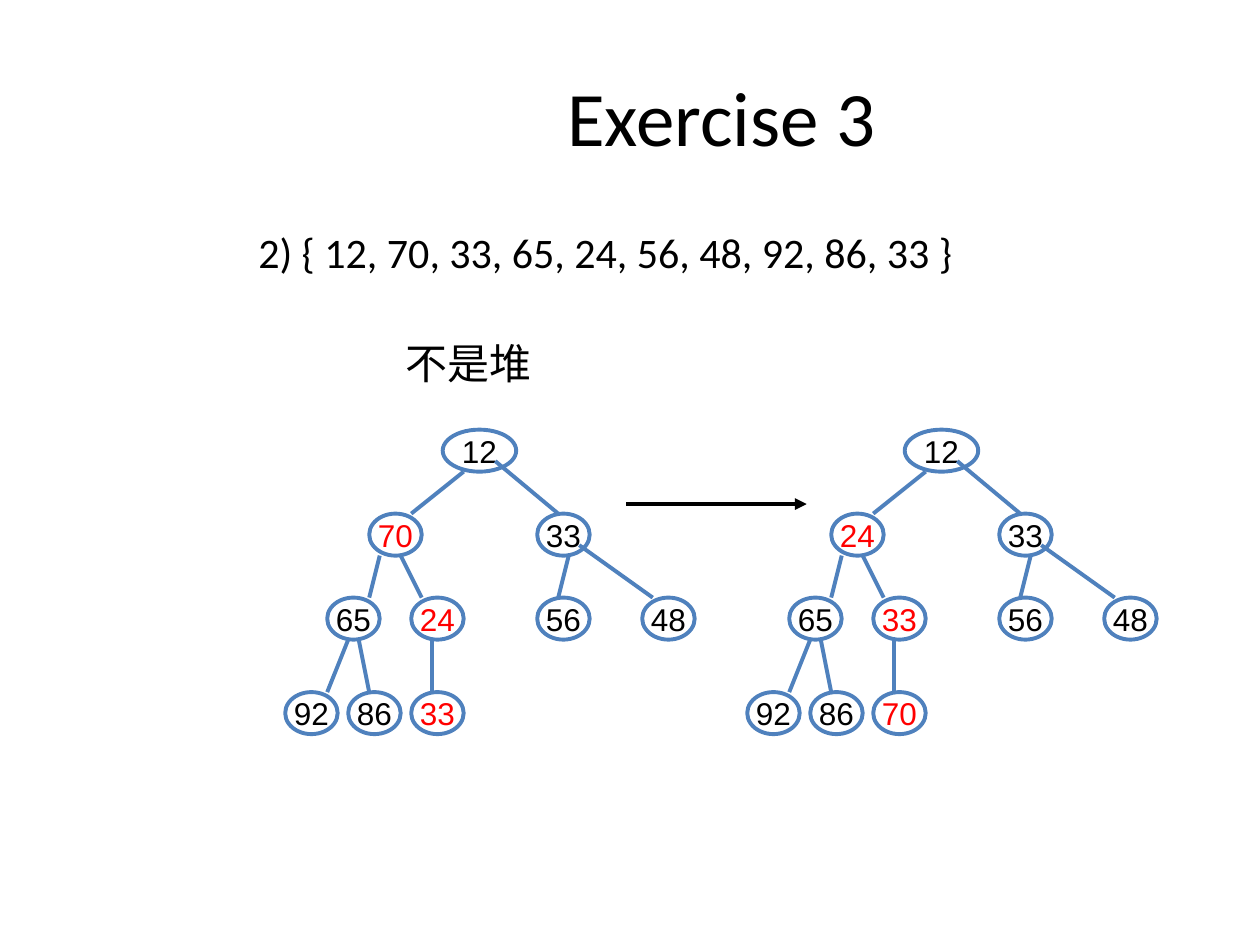
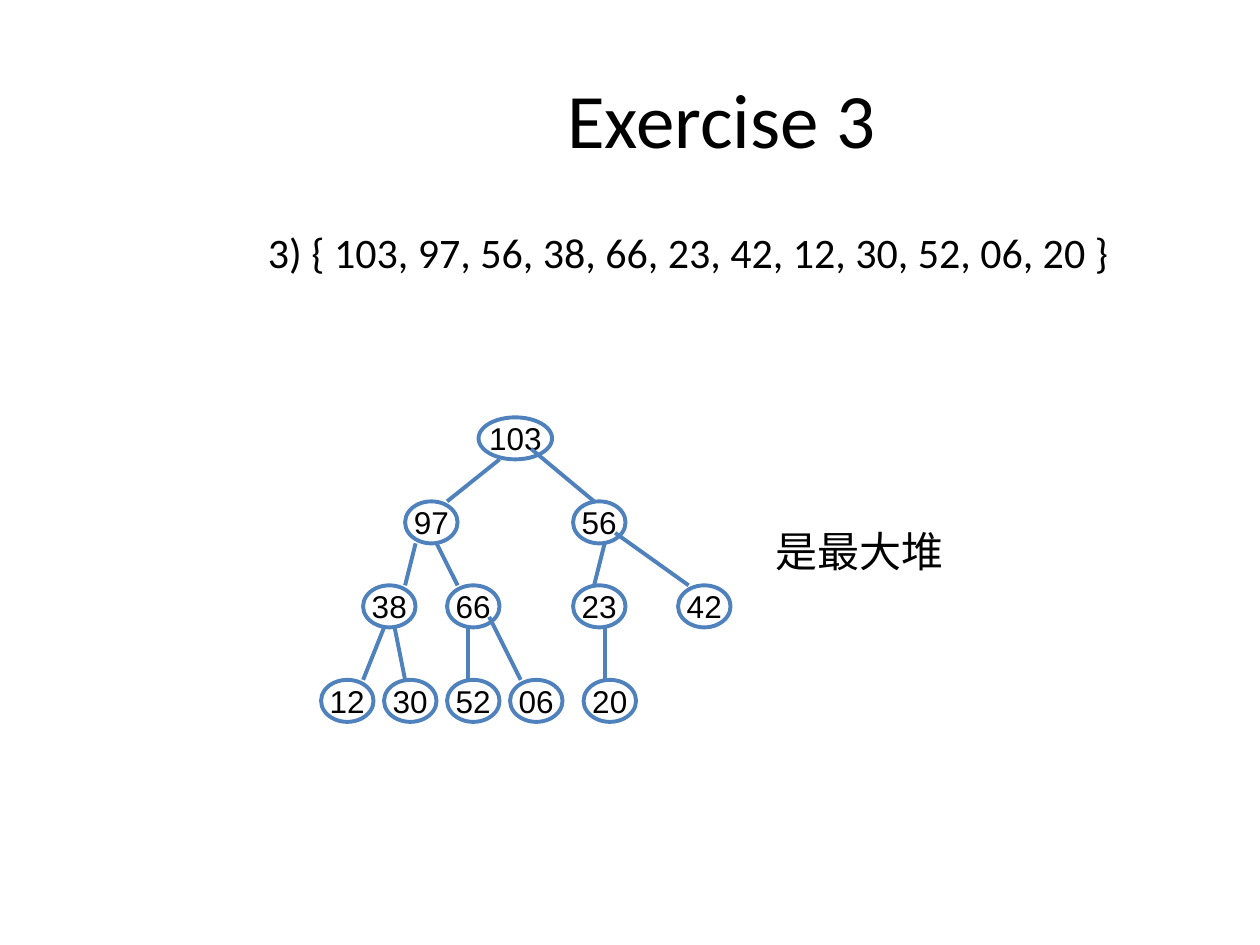
import pptx
import pptx.util
import pptx.dml.color
import pptx.enum.shapes
import pptx.enum.text
import lxml.etree
from dataclasses import dataclass

Pt = pptx.util.Pt
RGB = pptx.dml.color.RGBColor
ALIGN = pptx.enum.text.PP_ALIGN
MID = pptx.enum.text.MSO_ANCHOR.MIDDLE
A = "http://schemas.openxmlformats.org/drawingml/2006/main"


@dataclass
class Theme:
    black = RGB(0, 0, 0)
    white = RGB(255, 255, 255)
    red = RGB(255, 0, 0)
    blue = RGB(0x4F, 0x81, 0xBD)
    head, body, label = 44, 24, 18
    sans, plain = "Calibri", "Arial"
    line = 2.25
    unit = 6  # grid step of the trees


def write(para, text, size, font, color=Theme.black, align=ALIGN.LEFT):
    para.alignment = align
    run = para.add_run()
    run.text = text
    run.font.size = Pt(size)
    run.font.name = font
    run.font.color.rgb = color


def link(slide, x1, y1, x2, y2, color):
    line = slide.shapes.add_connector(
        pptx.enum.shapes.MSO_CONNECTOR.STRAIGHT, Pt(x1), Pt(y1), Pt(x2), Pt(y2))
    line.line.color.rgb = color
    line.line.width = Pt(Theme.line)
    lxml.etree.SubElement(line._element.spPr, f"{{{A}}}effectLst")
    return line


# Each spot: left and top of a node, then the edge from its parent, in grid steps
top = [
    (0, 0, None),
    (-7, 8, (2, 4, -3, 8)),
    (9, 8, (5, 3, 11, 8)),
    (-11, 16, (-6, 12, -7, 16)),
    (-3, 16, (-4, 12, -2, 16)),
    (9, 16, (12, 12, 11, 16)),
    (19, 16, (13, 11, 20, 16)),
    (-15, 25, (-9, 20, -11, 25)),
    (-9, 25, (-8, 20, -7, 25)),
    (-3, 25, (-1, 20, -1, 25)),
]
spots = top + [(3, 25, (1, 19, 4, 25)), (10, 25, (12, 20, 12, 25))]

# Each tree: root left and top, values in level order, places of red values
pages = [
    {
        "title": 21, "list": "2) { 12, 70, 33, 65, 24, 56, 48, 92, 86, 33 }",
        "shift": 0, "tall": 117,
        "trees": [
            (253, 245.5, "12 70 33 65 24 56 48 92 86 33", {1, 4, 9}),
            (517, 245.5, "12 24 33 65 33 56 48 92 86 70", {1, 4, 9}),
        ],
    },
    {
        "title": 22, "list": "3) { 103, 97, 56, 38, 66, 23, 42, 12, 30, 52, 06, 20 }",
        "shift": 5.4, "tall": 256,
        "trees": [
            (273.5, 238.5, "103 97 56 38 66 23 42 12 30 52 06 20", set()),
        ],
    },
]

deck = pptx.Presentation()
deck.slide_width, deck.slide_height = Pt(720), Pt(540)
slides, lists = [], []

for page in pages:
    slide = deck.slides.add_slide(deck.slide_layouts[6])
    slides.append(slide)

    # Title
    box = slide.shapes.add_textbox(Pt(140.5), Pt(page["title"]), Pt(543.5), Pt(90))
    frame = box.text_frame
    frame.word_wrap = True
    frame.vertical_anchor = MID
    write(frame.paragraphs[0], "Exercise 3", Theme.head, Theme.sans, align=ALIGN.CENTER)

    # List of values
    box = slide.shapes.add_textbox(Pt(140.5), Pt(126), Pt(543.5), Pt(page["tall"]))
    frame = box.text_frame
    frame.word_wrap = True
    frame.margin_left = Pt(7.2 + page["shift"])
    write(frame.paragraphs[0], page["list"], Theme.body, Theme.sans)
    lists.append(frame)

    # Trees
    for left, high, names, reds in page["trees"]:
        for i, (name, (x, y, edge)) in enumerate(zip(names.split(), spots)):
            wide = 5 if edge else 7
            node = slide.shapes.add_shape(
                pptx.enum.shapes.MSO_SHAPE.OVAL,
                Pt(left + x * Theme.unit), Pt(high + y * Theme.unit),
                Pt(wide * Theme.unit), Pt(4 * Theme.unit))
            node.shadow.inherit = False
            node.fill.solid()
            node.fill.fore_color.rgb = Theme.white
            node.line.color.rgb = Theme.blue
            node.line.width = Pt(Theme.line)
            frame = node.text_frame
            frame.word_wrap = False
            frame.vertical_anchor = MID
            write(frame.paragraphs[0], name, Theme.label, Theme.plain,
                  Theme.red if i in reds else Theme.black, ALIGN.CENTER)
            if edge:
                x1, y1, x2, y2 = [v * Theme.unit for v in edge]
                link(slide, left + x1, high + y1, left + x2, high + y2, Theme.blue)

# Verdict and arrow on the first slide
box = slides[0].shapes.add_textbox(Pt(171.5), Pt(189.5), Pt(192), Pt(36))
box.text_frame.word_wrap = True
write(box.text_frame.paragraphs[0], "不是堆", Theme.body, Theme.plain, align=ALIGN.CENTER)
arrow = link(slides[0], 358, 288, 461, 288, Theme.black)
lxml.etree.SubElement(arrow.line._get_or_add_ln(), f"{{{A}}}tailEnd", type="triangle")

# Verdict on the second slide, below the list
para = lists[1].add_paragraph()
para.space_before = Pt(142)
para._p.get_or_add_pPr().set("marL", str(Pt(290)))
write(para, "是最大堆", Theme.body, Theme.sans)

deck.save("out.pptx")
